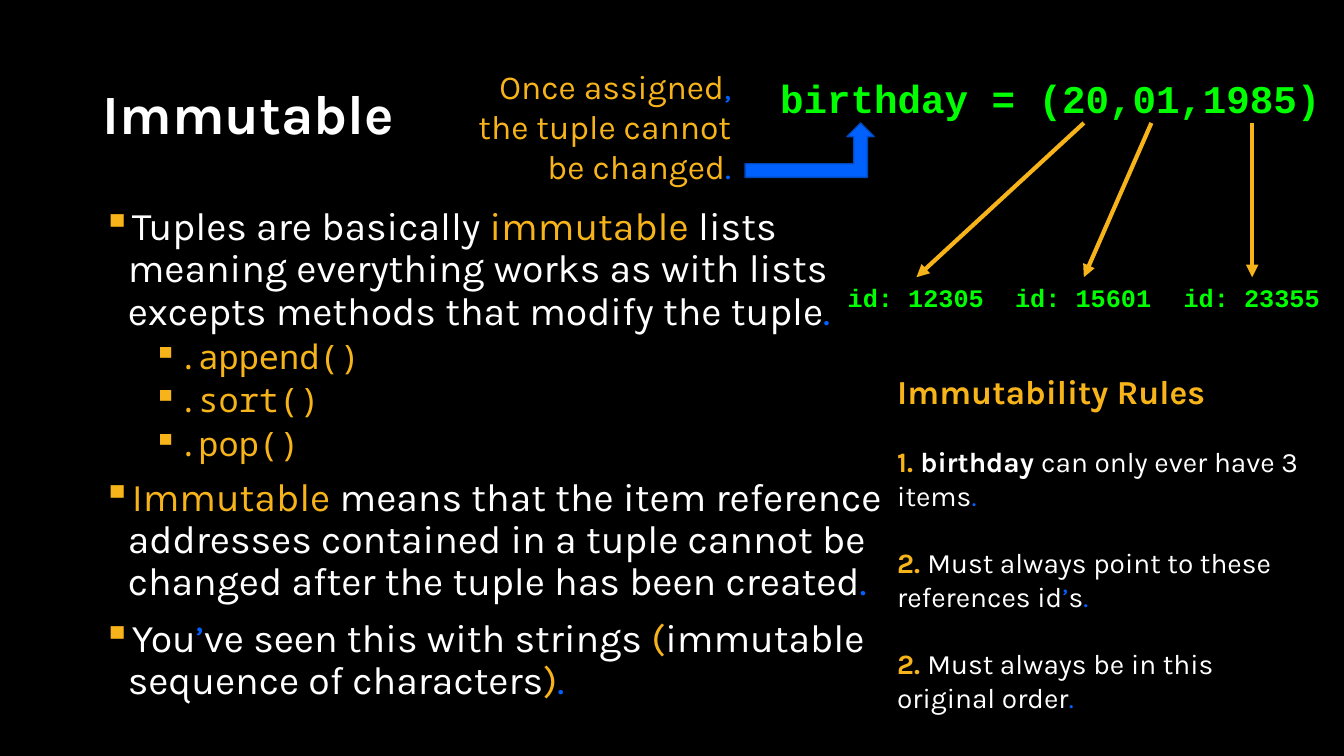
from pptx import Presentation
from pptx.dml.color import RGBColor
from pptx.enum.shapes import MSO_CONNECTOR as Link, MSO_SHAPE as Shape
from pptx.enum.text import MSO_ANCHOR as Anchor, MSO_AUTO_SIZE as Fit, PP_ALIGN as Align
from pptx.oxml.ns import qn
from pptx.util import Inches, Pt
from lxml.etree import SubElement as Sub

WHITE, GOLD, BLUE, NAVY, GREEN = "FFFFFF", "F7B41A", "0061FF", "0048BD", "00FF00"
SANS, MONO, CODE = "Karla", "Noto Sans Mono", "Courier New"


def color(code):
    return RGBColor.from_string(code)


class Deck:
    def __init__(self):
        self.prs = Presentation()
        self.prs.slide_width = Inches(13.33)
        self.prs.slide_height = Inches(7.5)
        self.slide = self.prs.slides.add_slide(self.prs.slide_layouts[5])
        fill = self.slide.background.fill
        fill.solid()
        fill.fore_color.rgb = color("000000")

    def style(self, para, parts, size, face=SANS):
        """Each part is (text, colour) or (text, colour, bold)."""
        for text, hue, *bold in parts:
            run = para.add_run()
            run.text = text
            font = run.font
            font.size, font.name = Pt(size), face
            font.color.rgb = color(hue)
            font.bold = bool(bold and bold[0])

    def title(self, text, x, y, w, h):
        box = self.slide.shapes.title
        box.left, box.top, box.width, box.height = map(Inches, (x, y, w, h))
        frame = box.text_frame
        frame.auto_size = Fit.NONE
        frame.vertical_anchor = Anchor.MIDDLE
        para = frame.paragraphs[0]
        para.alignment, para.line_spacing = Align.LEFT, 0.9
        self.style(para, [(text, WHITE, True)], 39.6)

    def box(self, x, y, w, h, wrap=True, fit=Fit.SHAPE_TO_FIT_TEXT):
        box = self.slide.shapes.add_textbox(*map(Inches, (x, y, w, h)))
        box.text_frame.word_wrap = wrap
        box.text_frame.auto_size = fit
        return box

    def code(self, text, x, y, w, h, size):
        box = self.box(x, y, w, h, wrap=False)
        self.style(box.text_frame.paragraphs[0], [(text, GREEN, True)], size, CODE)
        return box

    def paras(self, frame, count):
        """Yield the first paragraph of the frame, then new ones."""
        yield frame.paragraphs[0]
        for _ in range(count - 1):
            yield frame.add_paragraph()

    def bullets(self, items, x, y, w, h):
        frame = self.box(x, y, w, h, fit=Fit.NONE).text_frame
        for para, (level, parts) in zip(self.paras(frame, len(items)), items):
            para.level, para.line_spacing = level, 0.9
            para.space_before = Pt(5 if level else 10)
            props = para._p.get_or_add_pPr()
            props.set("marL", str(Inches(0.25 + 0.5 * level)))
            props.set("indent", str(Inches(-0.25)))
            Sub(Sub(props, qn("a:buClr")), qn("a:srgbClr"), val=GOLD)
            Sub(props, qn("a:buChar"), char="▪")
            self.style(para, parts, 24 if level else 28, MONO if level else SANS)

    def rules(self, head, items, x, y, w, h):
        frame = self.box(x, y, w, h).text_frame
        rows = [[(head, GOLD, True)]] + items
        for i, (para, parts) in enumerate(zip(self.paras(frame, len(rows)), rows)):
            para.space_before = Pt(24 if i else 0)
            self.style(para, parts, 20 if i else 24)

    def bent(self, x, y, w, h):
        arrow = self.slide.shapes.add_shape(Shape.BENT_UP_ARROW, *map(Inches, (x, y, w, h)))
        arrow.shadow.inherit = False
        arrow.fill.solid()
        arrow.fill.fore_color.rgb = color(BLUE)
        arrow.line.color.rgb = color(NAVY)
        arrow.line.width = Pt(1)

    def arrow(self, x, y, goal):
        """Draw an arrow from a point to the top of a box."""
        line = self.slide.shapes.add_connector(
            Link.STRAIGHT, Inches(x), Inches(y), goal.left + goal.width // 2, goal.top)
        line.end_connect(goal, 0)
        line.line.color.rgb = color(GOLD)
        line.line.width = Pt(3)
        Sub(line.line._get_or_add_ln(), qn("a:tailEnd"), type="triangle")
        Sub(line._element.spPr, qn("a:effectLst"))


def main():
    deck = Deck()
    stop = (".", BLUE)

    # Title and main points
    deck.title("Immutable", 0.92, 0.8, 11.5, 0.72)
    calls = [(1, [(name, GOLD)]) for name in (".append()", ".sort()", ".pop()")]
    deck.bullets([
        (0, [("Tuples are basically ", WHITE), ("immutable", GOLD),
             (" lists meaning everything works as with lists excepts methods"
              " that modify the tuple", WHITE), stop]),
        *calls,
        (0, [("Immutable", GOLD),
             (" means that the item reference addresses contained in a tuple"
              " cannot be changed after the tuple has been created", WHITE), stop]),
        (0, [("You", WHITE), ("’", BLUE), ("ve seen this with strings ", WHITE),
             ("(", GOLD), ("immutable sequence of characters", WHITE),
             (")", GOLD), stop]),
    ], 0.92, 2, 7.94, 5.29)

    # Tuple and its note
    deck.code("birthday = (20,01,1985)", 7.64, 0.69, 5.6, 0.57, 28)
    note = deck.box(4.43, 0.6, 2.92, 1.31).text_frame.paragraphs[0]
    note.alignment = Align.RIGHT
    deck.style(note, [("Once assigned", GOLD), (", ", BLUE),
                      ("the tuple cannot be changed", GOLD), stop], 24)
    deck.bent(7.39, 1.22, 1.28, 0.54)

    # Item references
    refs = [("12305", 8.31, 10.75), ("15601", 9.97, 11.42), ("23355", 11.64, 12.42)]
    for ref, left, start in refs:
        goal = deck.code(f"id: {ref}", left, 2.75, 1.56, 0.4, 18)
        deck.arrow(start, 1.22, goal)

    # Rules
    deck.rules("Immutability Rules", [
        [("1. ", GOLD, True), ("birthday ", WHITE, True),
         ("can only ever have 3 items", WHITE), stop],
        [("2. ", GOLD, True), ("Must always point to these references id", WHITE),
         ("’", BLUE), ("s", WHITE), stop],
        [("2. ", GOLD, True), ("Must always be in this original order", WHITE), stop],
    ], 8.8, 3.63, 4.19, 3.53)

    deck.prs.save("out.pptx")


if __name__ == "__main__":
    main()
